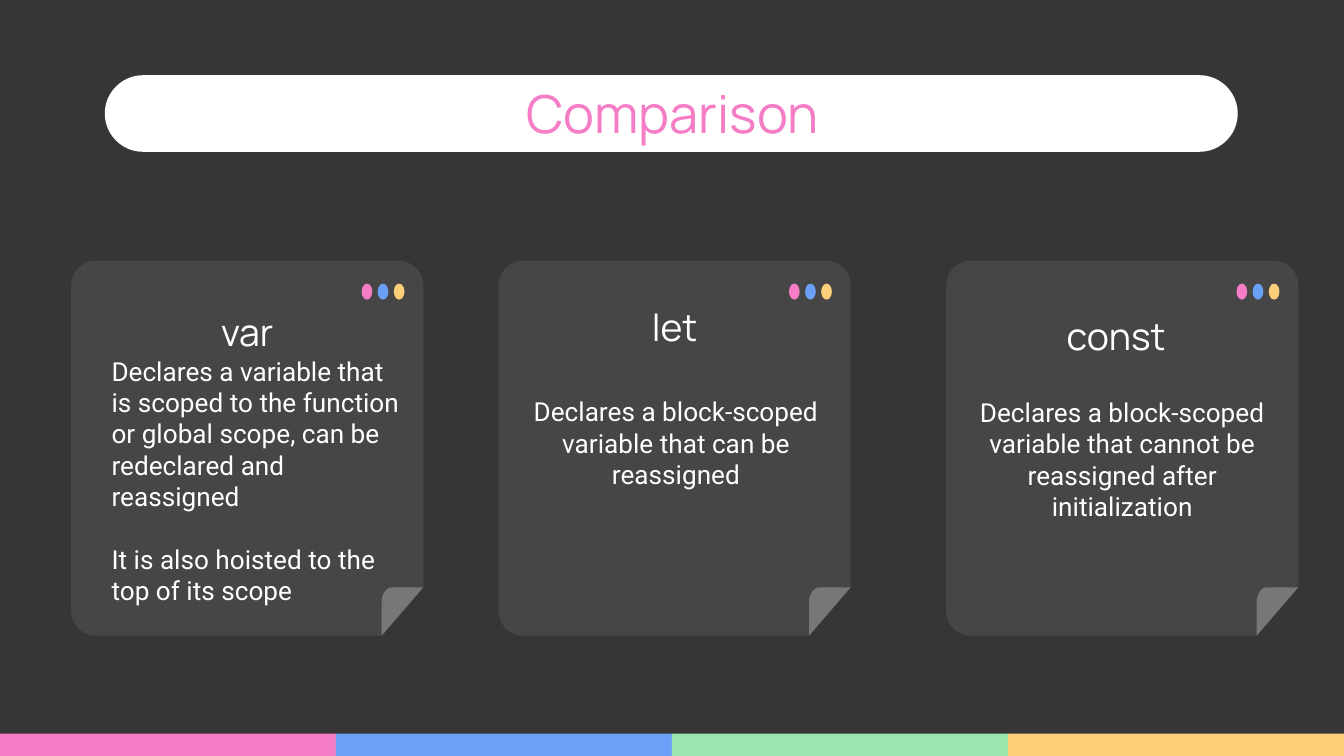
from math import cos, pi, sin

from pptx import Presentation
from pptx.dml.color import RGBColor
from pptx.enum.shapes import MSO_SHAPE as Preset
from pptx.enum.text import MSO_ANCHOR as Anchor, MSO_AUTO_SIZE as AutoSize, PP_ALIGN as Align
from pptx.oxml.ns import qn
from pptx.util import Inches, Pt

# Colours
DARK = RGBColor(0x36, 0x36, 0x36)
CARD = RGBColor(0x46, 0x46, 0x46)
FOLD = RGBColor(0x77, 0x77, 0x77)
WHITE = RGBColor(0xFF, 0xFF, 0xFF)
PINK = RGBColor(0xF5, 0x7D, 0xC6)
BLUE = RGBColor(0x6A, 0xA1, 0xF7)
GREEN = RGBColor(0x9A, 0xE6, 0xAE)
YELLOW = RGBColor(0xFC, 0xCF, 0x78)

# Content: placeholder indexes are None where the layout has no slot left
TITLE = "Comparison"
CARDS = [
    {"left": 0.53, "slots": (1, 2), "name": "var", "name_at": (0.34, 2.27, 3, 0.4),
     "text": ["Declares a variable that is scoped to the function or global scope, "
              "can be redeclared and reassigned",
              "It is also hoisted to the top of its scope"],
     "text_at": (0.73, 2.72, 2.36, 1.71), "align": Align.LEFT, "anchor": Anchor.MIDDLE},
    {"left": 3.71, "slots": (3, 4), "name": "let", "name_at": (3.52, 2.23, 3, 0.4),
     "text": ["Declares a block-scoped variable that can be reassigned"],
     "text_at": (3.66, 2.74, 2.74, 1.11), "align": Align.CENTER, "anchor": Anchor.MIDDLE},
    {"left": 7.04, "slots": (None, None), "name": "const", "name_at": (7.12, 2.28, 2.37, 0.44),
     "text": ["Declares a block-scoped variable that cannot be reassigned after initialization"],
     "text_at": (7.04, 2.9, 2.62, 1.04), "align": Align.CENTER, "anchor": Anchor.TOP},
]

# Card geometry
CARD_TOP, CARD_W, CARD_H = 1.94, 2.62, 2.79
FOLD_W, FOLD_H = 0.31, 0.36
CURVE_W, CURVE_H, CURVE_STEPS = 0.08, 0.11, 10

# A 16:9 page
deck = Presentation()
deck.slide_width = Inches(10)
deck.slide_height = Inches(10 * 9 / 16)
page = deck.slides.add_slide(deck.slide_layouts.get_by_name("Comparison"))
page.background.fill.solid()
page.background.fill.fore_color.rgb = DARK
slots = {slot.placeholder_format.idx: slot for slot in page.placeholders}


def paint(shape, color):
    shape.shadow.inherit = False
    shape.fill.solid()
    shape.fill.fore_color.rgb = color
    shape.line.fill.background()
    return shape


def add_preset(shapes, preset, at, color):
    return paint(shapes.add_shape(preset, *map(Inches, at)), color)


def write(slot, at, paragraphs, size, font, color, align, anchor):
    """Fill a placeholder, or a new text box when there is no slot."""
    if slot is None:
        box = page.shapes.add_textbox(*map(Inches, at))
    else:
        box = slots[slot]
        box.left, box.top, box.width, box.height = map(Inches, at)
        page.shapes.element.append(box.element)  # bring to front
    frame = box.text_frame
    frame.word_wrap, frame.auto_size, frame.vertical_anchor = True, AutoSize.NONE, anchor
    frame.margin_left = frame.margin_right = Inches(0.1)
    frame.margin_top = frame.margin_bottom = Inches(0.1 if slot is not None else 0.05)
    for number, text in enumerate(paragraphs):
        para = frame.add_paragraph() if number else frame.paragraphs[0]
        para.alignment, para.line_spacing = align, 1.0
        para.space_before, para.space_after = Pt(16.8 if number else 0), Pt(0)
        props = para._p.get_or_add_pPr()
        props.set("marL", "0")
        props.set("indent", "0")
        props.append(props.makeelement(qn("a:buNone"), {}))
        span = para.add_run()
        span.text = text
        span.font.name, span.font.size, span.font.bold = font, Pt(size), False
        span.font.color.rgb = color


def add_card(left):
    shapes = page.shapes.add_group_shape().shapes
    body = add_preset(shapes, Preset.ROUNDED_RECTANGLE, (left, CARD_TOP, CARD_W, CARD_H), CARD)
    body.adjustments[0] = 0.07
    for number, color in enumerate((PINK, BLUE, YELLOW)):
        add_preset(shapes, Preset.OVAL, (left + 2.16 + 0.12 * number, 2.11, 0.08, 0.12), color)

    # Cut the corner, then lay the turned-up fold over it
    right, bottom = left + CARD_W, CARD_TOP + CARD_H
    x, y = right - FOLD_W, bottom - FOLD_H
    corner = add_preset(shapes, Preset.RIGHT_TRIANGLE, (x + 0.01, y + 0.01, 0.3, 0.35), DARK)
    corner.element.spPr.get_or_add_xfrm().set("flipH", "1")
    corner.line.color.rgb, corner.line.width = DARK, Pt(0.75)
    angles = [pi / 2 * step / CURVE_STEPS for step in range(CURVE_STEPS + 1)]
    curve = [(x + CURVE_W * (1 - sin(a)), y + CURVE_H * (1 - cos(a))) for a in angles]
    outline = [(Inches(px), Inches(py)) for px, py in curve + [(x, bottom), (right, y)]]
    pen = shapes.build_freeform(*outline[0])
    pen.add_line_segments(outline[1:], close=True)
    paint(pen.convert_to_shape(), FOLD)


# Bottom stripes
stripes = page.shapes.add_group_shape().shapes
for number, color in enumerate((PINK, BLUE, GREEN, YELLOW)):
    add_preset(stripes, Preset.RECTANGLE, (2.5 * number, 5.46, 2.5, 0.17), color)

# Title on its pill
pill = add_preset(page.shapes, Preset.ROUNDED_RECTANGLE, (0.78, 0.56, 8.43, 0.57), WHITE)
pill.adjustments[0] = 0.5
write(0, (0.79, 0.59, 8.43, 0.5), [TITLE], 28, "Manrope", PINK, Align.CENTER, Anchor.MIDDLE)

# Cards
for card in CARDS:
    add_card(card["left"])
    name_slot, text_slot = card["slots"]
    write(name_slot, card["name_at"], [card["name"]], 20, "Manrope", WHITE,
          Align.CENTER, card["anchor"])
    write(text_slot, card["text_at"], card["text"], 14, "Roboto", WHITE,
          card["align"], card["anchor"])

deck.save("out.pptx")
